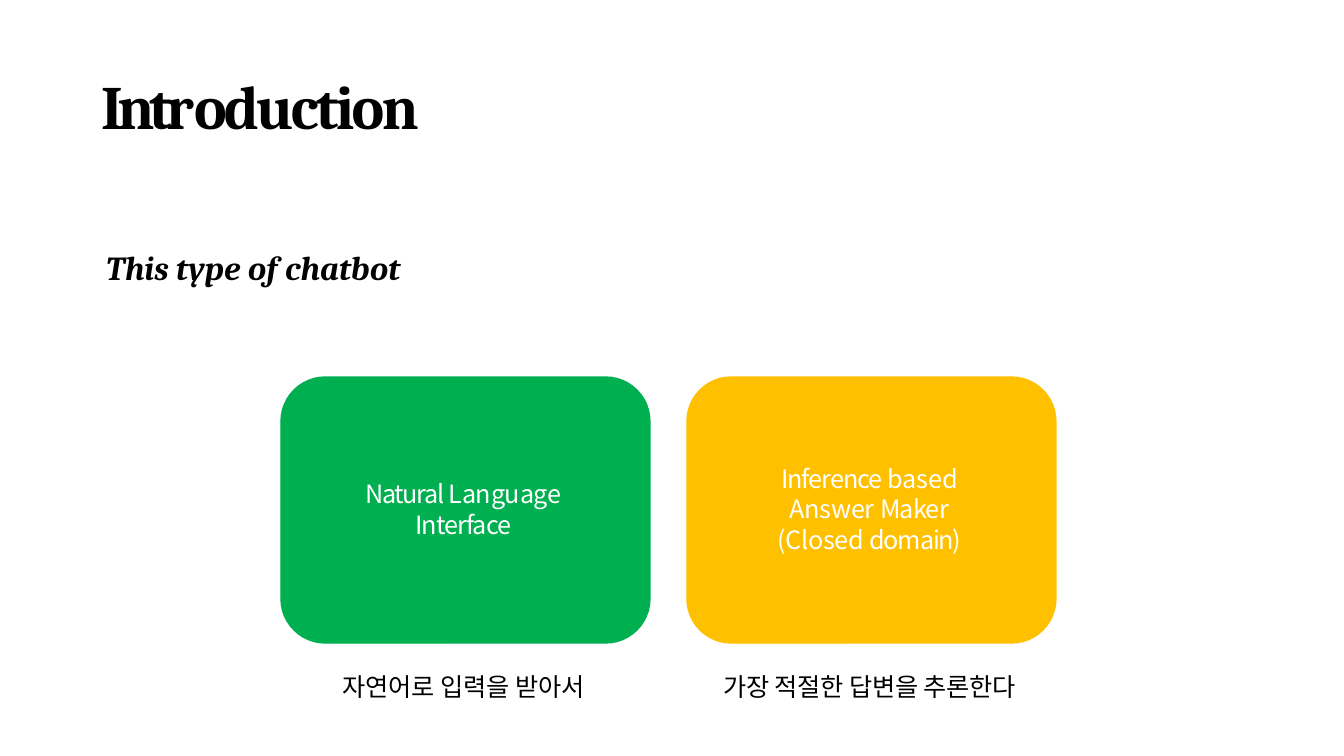
from lxml.etree import SubElement
from pptx import Presentation
from pptx.dml.color import RGBColor
from pptx.enum.shapes import MSO_SHAPE
from pptx.enum.text import MSO_ANCHOR, PP_ALIGN
from pptx.oxml.ns import qn
from pptx.util import Pt

EMU_PER_PX = 914400 / 100.8
SANS = "Noto Sans CJK JP"
CARD_W, CARD_H, CARD_GAP = 369, 266, 37
TITLE = {"name": "Cambria", "size": Pt(44), "bold": True}
SUBTITLE = {"name": "Cambria", "size": Pt(24), "bold": True, "italic": True}
BODY = {"name": SANS, "size": Pt(18)}

# Each line is a list of (text, letter spacing in points).
CARDS = [
    {
        "fill": "00AF50",
        "label": [
            [("Natural ", -1), ("Language", -0.2)],
            [("Interface", -0.7)],
        ],
        "caption": [("자연어로 ", -0.1), ("입력을 ", 0), ("받아서", -0.1)],
    },
    {
        "fill": "FFC000",
        "label": [
            [("Inference ", -0.7), ("based", -0.1)],
            [("Answer ", -0.2), ("Maker", -0.5)],
            [("(Closed ", -0.2), ("domain)", -0.9)],
        ],
        "caption": [("가장 적절한 답변을 추론한다", -0.1)],
    },
]


def px(length):
    return round(length * EMU_PER_PX)


def color(hex_value):
    return RGBColor.from_string(hex_value)


def write_lines(frame, lines, style, ink, align=PP_ALIGN.LEFT, leading=None):
    frame.word_wrap = True
    for side in ("left", "top", "right", "bottom"):
        setattr(frame, f"margin_{side}", 0)
    for index, line in enumerate(lines):
        paragraph = frame.add_paragraph() if index else frame.paragraphs[0]
        paragraph.alignment = align
        paragraph.line_spacing = leading
        for text, spacing in line:
            run = paragraph.add_run()
            run.text = text
            for attribute, value in style.items():
                setattr(run.font, attribute, value)
            run.font.color.rgb = color(ink)
            properties = run._r.get_or_add_rPr()
            properties.set("spc", str(round(spacing * 100)))
            SubElement(properties, qn("a:ea"), typeface=style["name"])


def add_text(slide, box, lines, style, **options):
    frame = slide.shapes.add_textbox(*map(px, box)).text_frame
    write_lines(frame, lines, style, "000000", **options)


def add_heading(slide, left, top):
    add_text(slide, (left, top, 500, 77),
             [[("Intr", -4), ("oduction", -2)]], TITLE)
    add_text(slide, (left + 5, top + 179, 584, 40),
             [[("This type of chatbot", 0)]], SUBTITLE)


def add_card(slide, left, top, card):
    """Draw a rounded card with its label inside and its caption below."""
    tile = slide.shapes.add_shape(
        MSO_SHAPE.ROUNDED_RECTANGLE, *map(px, (left, top, CARD_W, CARD_H)))
    tile.shadow.inherit = False
    tile.fill.solid()
    tile.fill.fore_color.rgb = color(card["fill"])
    tile.line.color.rgb = color(card["fill"])
    tile.line.width = Pt(0.96)

    layout = {"align": PP_ALIGN.CENTER, "leading": Pt(22)}
    frame = tile.text_frame
    write_lines(frame, card["label"], BODY, "FFFFFF", **layout)
    frame.vertical_anchor = MSO_ANCHOR.MIDDLE
    frame.margin_right = px(4)
    frame.margin_bottom = px(3)
    add_text(slide, (left, top + CARD_H + 28, CARD_W - 4, 32),
             [card["caption"]], BODY, **layout)


def main():
    deck = Presentation()
    deck.slide_width, deck.slide_height = px(1344), px(756)
    slide = deck.slides.add_slide(deck.slide_layouts[6])
    add_heading(slide, 101, 68)
    for column, card in enumerate(CARDS):
        add_card(slide, 281 + column * (CARD_W + CARD_GAP), 377, card)
    deck.save("out.pptx")


if __name__ == "__main__":
    main()
